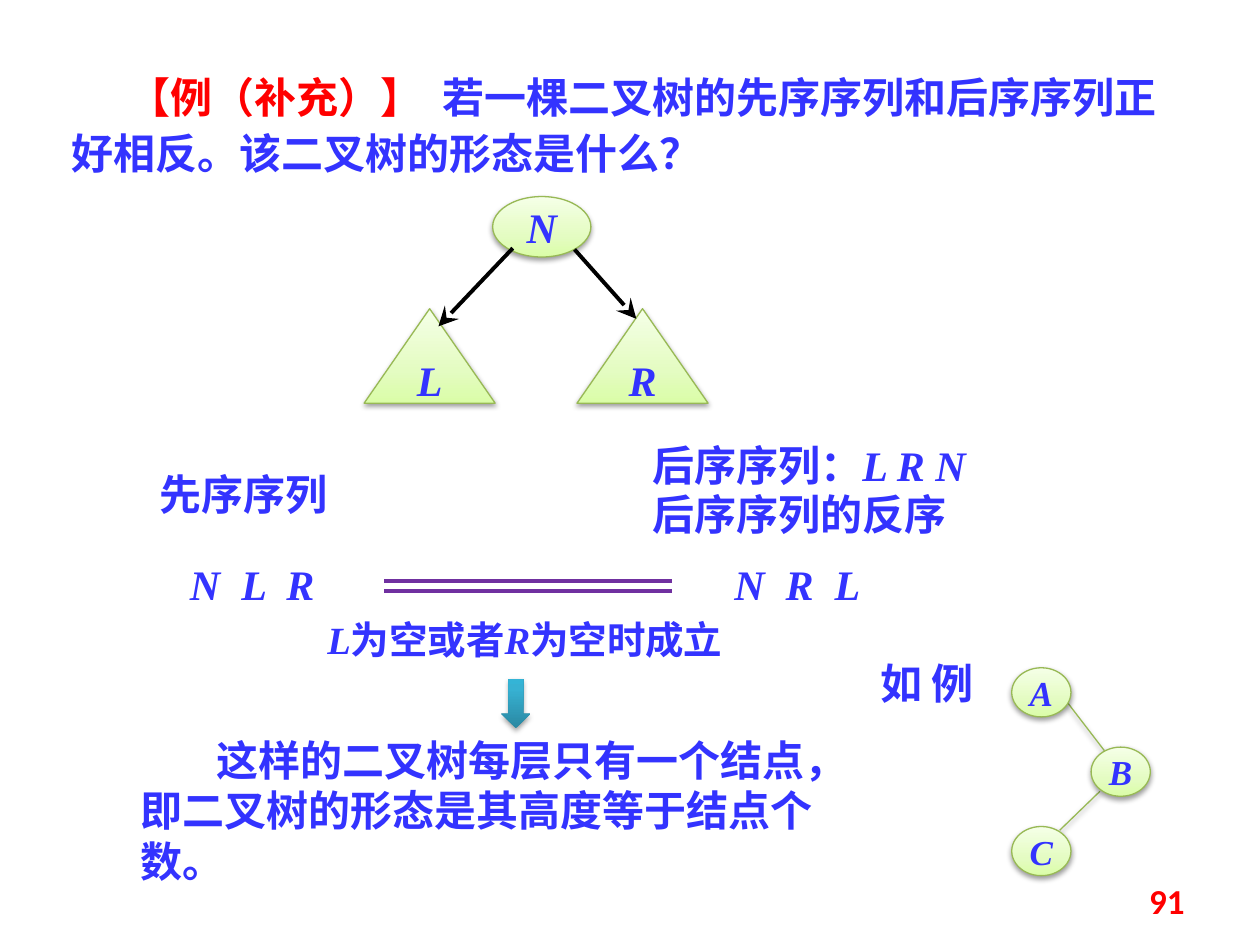
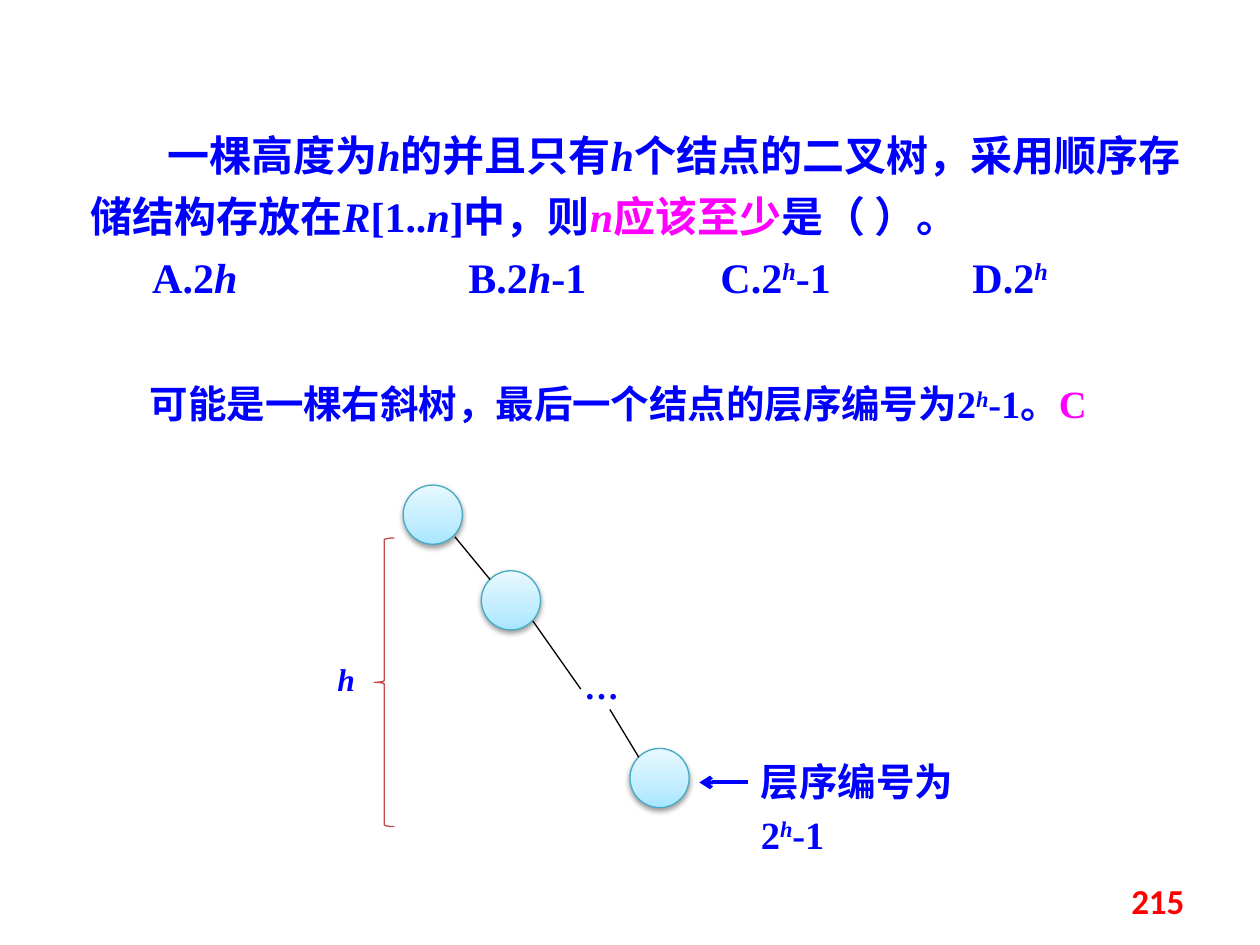
import copy

import pptx
import pptx.dml.color
import pptx.enum.shapes
import pptx.enum.text
import pptx.oxml.ns
import pptx.util
from lxml import etree

RGBColor = pptx.dml.color.RGBColor
Inches, Pt = pptx.util.Inches, pptx.util.Pt
MSO_SHAPE = pptx.enum.shapes.MSO_SHAPE
PP_ALIGN = pptx.enum.text.PP_ALIGN
MSO_ANCHOR = pptx.enum.text.MSO_ANCHOR
qn = pptx.oxml.ns.qn

RED = RGBColor(0xFF, 0x00, 0x00)
MAGENTA = RGBColor(0xFF, 0x00, 0xFF)
INDIGO = RGBColor(0x33, 0x33, 0xFF)
BLUE = RGBColor(0x00, 0x00, 0xFF)
BLACK = RGBColor(0x00, 0x00, 0x00)
PURPLE = RGBColor(0x70, 0x30, 0xA0)
BRICK = RGBColor(0xBF, 0x4C, 0x48)
LEAF = RGBColor(0x98, 0xB9, 0x55)
TEAL = RGBColor(0x46, 0xAA, 0xC5)
GREEN_BLEND = [(0, RGBColor(0xDA, 0xFD, 0xA7)), (0.35, RGBColor(0xE4, 0xFC, 0xC2)),
               (1, RGBColor(0xF5, 0xFF, 0xE7))]
SKY_BLEND = [(0, RGBColor(0xA7, 0xE6, 0xFF)), (0.35, RGBColor(0xC1, 0xED, 0xFF)),
             (1, RGBColor(0xE7, 0xF8, 0xFF))]
TEAL_BLEND = [(0, RGBColor(0x2A, 0x88, 0xA2)), (0.8, RGBColor(0x37, 0xB1, 0xD2)),
              (1, RGBColor(0x34, 0xB4, 0xD6))]
LATIN, CJK, NUMBER_FONT = "Times New Roman", "Noto Sans CJK SC", "Calibri"

# Run marks: i italic, ^ superscript, r red, m magenta, w widened by the spread.
# Boxes: place (left, top, width, height), paragraphs, format.
TRAVERSAL_TEXTS = [
    ((0.47, 0.47, 9.06, 1),
     [[("【例（补充）】", "r"), (" ", "w"),
       "若一棵二叉树的先序序列和后序序列正好相反。该二叉树的形态是什么？"]],
     dict(leading=32, indent=0.45, spread=6)),
    ((1.17, 3.67, 1.72, 0.5), [["先序序列"]], {}),
    ((5.08, 3.44, 3.2, 0.5), [["后序序列：", ("L R N", "i")]], {}),
    ((5.08, 3.83, 2.97, 0.5), [["后序序列的反序"]], {}),
    ((1.41, 4.38, 1.4, 0.5), [[("N L R", "iw")]], dict(spread=3)),
    ((5.73, 4.38, 1.4, 0.5), [[("N R L", "iw")]], dict(spread=3)),
    ((2.5, 4.84, 3.83, 0.47),
     [[("L", "i"), "为空或者", ("R", "i"), "为空时成立"]], dict(size=22)),
    ((1.02, 5.78, 5.7, 1.3),
     [["这样的二叉树每层只有一个结点，即二叉树的形态是其高度等于结点个数。"]], dict(indent=0.6)),
    ((6.79, 5.16, 1.01, 0.54), [["例如"]],
     dict(font=CJK, leading=29, vertical=True, align=PP_ALIGN.CENTER)),
]
ROOT = ("N", (3.91, 1.56))
SUBTREES = [("L", (2.89, 2.45)), ("R", (4.58, 2.45))]
SUBTREE_ARROWS = [((4.07, 1.97), (3.48, 2.59)), ((4.56, 1.98), (5.05, 2.53))]
EXAMPLE_EDGES = [((8.46, 5.56), (8.79, 5.99)), ((8.73, 6.28), (8.41, 6.59))]
EXAMPLE_NODES, EXAMPLE_LEFTS = "ABC", (8.03, 8.66, 8.03)
EXAMPLE_TOP, EXAMPLE_STEP = 5.3, 0.63
EQUALS_TOPS = (4.61, 4.69)

STORAGE_TEXTS = [
    ((0.62, 0.89, 8.91, 1.05),
     [["一棵高度为", ("h", "i"), "的并且只有", ("h", "i"),
       "个结点的二叉树，采用顺序存储结构存放在", ("R", "i"), "[1..", ("n", "i"), "]中，则",
       ("n", "im"), ("应该至少", "m"), "是（ ）。"]],
     dict(leading=35, indent=0.61)),
    ((1.09, 2.92, 8.05, 0.52),
     [["可能是一棵右斜树，最后一个结点的层序编号为2", ("h", "i^"), "-1。", ("C", "m")]],
     dict(size=22, leading=30)),
    ((4.54, 5.37, 0.55, 0.38), [["…"]], dict(size=20, leading=20, font=CJK)),
    ((5.94, 5.92, 2, 0.92), [["层序编号为2", ("h", "i^"), "-1"]], dict(size=22, leading=30)),
    ((2.58, 5.21, 0.55, 0.38), [[("h", "i")]], dict(size=18, leading=20)),
]
ANSWERS = [
    (1.11, ["A.2", ("h", "i")]),
    (3.62, ["B.2", ("h", "i"), "-1"]),
    (5.62, ["C.2", ("h", "i^"), "-1"]),
    (7.62, ["D.2", ("h", "i^")]),
]
CHAIN_NODES = [(3.2, 3.85), (3.82, 4.53), (5, 5.94)]
CHAIN_EDGES = [((3.61, 4.26), (3.89, 4.6)), ((4.23, 4.93), (4.61, 5.47)),
               ((4.84, 5.63), (5.07, 6.01))]


def write(frame, paragraphs, size=24, color=INDIGO, font=LATIN, leading=None, indent=0,
          spread=0, align=None, anchor=MSO_ANCHOR.TOP, wrap=True, vertical=False):
    """Fill a text frame; a run is a string or a (string, marks) pair."""
    frame.word_wrap = wrap
    frame.vertical_anchor = anchor
    if vertical:
        frame._txBody.bodyPr.set("vert", "eaVert")
    for number, runs in enumerate(paragraphs):
        paragraph = frame.add_paragraph() if number else frame.paragraphs[0]
        if align is not None:
            paragraph.alignment = align
        if leading:
            paragraph.line_spacing = Pt(leading)
        properties = paragraph._p.get_or_add_pPr()
        properties.set("marL", "0")
        properties.set("indent", str(Inches(indent)))
        for item in runs:
            words, marks = (item, "") if isinstance(item, str) else item
            run = paragraph.add_run()
            run.text = words
            run.font.size = Pt(size)
            run.font.name = font
            run.font.bold = True
            run.font.italic = "i" in marks
            run.font.color.rgb = RED if "r" in marks else MAGENTA if "m" in marks else color
            run_properties = run._r.get_or_add_rPr()
            if "^" in marks:
                run_properties.set("baseline", "30000")
            if "w" in marks:
                run_properties.set("spc", str(spread * 100))
            etree.SubElement(run_properties, qn("a:ea"), typeface=CJK)


def add_text(slide, place, paragraphs, **text_format):
    box = slide.shapes.add_textbox(*map(Inches, place))
    write(box.text_frame, paragraphs, **text_format)


def cast_shadow(effects):
    shadow = etree.SubElement(effects, qn("a:outerShdw"), blurRad=str(Pt(3.1)),
                              dist=str(Pt(1.6)), dir="5400000", rotWithShape="0")
    tint = etree.SubElement(shadow, qn("a:srgbClr"), val="000000")
    etree.SubElement(tint, qn("a:alpha"), val="38000")


def add_figure(slide, preset, place, blend=None, outline=None, label=None, **text_format):
    """Add a preset shape; a blended one also casts a shadow."""
    figure = slide.shapes.add_shape(preset, *map(Inches, place))
    figure.shadow.inherit = False
    if blend:
        figure.fill.gradient()
        figure.fill.gradient_angle = 90
        stops = figure._element.spPr.find(".//" + qn("a:gsLst"))
        stops.append(copy.deepcopy(stops[0]))
        for stop, (position, color) in zip(figure.fill.gradient_stops, blend):
            stop.color.rgb = color
            stop.position = position
        cast_shadow(figure._element.spPr.find(qn("a:effectLst")))
    else:
        figure.fill.background()
    if outline is None:
        figure.line.fill.background()
    else:
        figure.line.color.rgb = outline
        figure.line.width = Pt(0.75)
    if label:
        write(figure.text_frame, [[(label, "i")]], align=PP_ALIGN.CENTER,
              anchor=MSO_ANCHOR.MIDDLE, wrap=False, **text_format)


def add_line(slide, start, end, color=BLACK, width=0.75, arrowhead=None,
             head_size="med", shadow=False):
    line = slide.shapes.add_connector(pptx.enum.shapes.MSO_CONNECTOR.STRAIGHT,
                                      *map(Inches, start + end))
    line.line.color.rgb = color
    line.line.width = Pt(width)
    if arrowhead:
        etree.SubElement(line.line._get_or_add_ln(), qn("a:tailEnd"), type=arrowhead,
                         w=head_size, len=head_size)
    effects = etree.SubElement(line._element.spPr, qn("a:effectLst"))
    if shadow:
        cast_shadow(effects)


def start_slide(deck, page_number):
    slide = deck.slides.add_slide(deck.slide_layouts[6])
    add_text(slide, (7.17, 6.95, 2.33, 0.4), [[page_number]], size=20, color=RED,
             font=NUMBER_FONT, align=PP_ALIGN.RIGHT, anchor=MSO_ANCHOR.MIDDLE)
    return slide


def build_traversal_slide(deck):
    slide = start_slide(deck, "91")
    for place, paragraphs, text_format in TRAVERSAL_TEXTS:
        add_text(slide, place, paragraphs, **text_format)

    name, corner = ROOT
    add_figure(slide, MSO_SHAPE.OVAL, corner + (0.78, 0.48), GREEN_BLEND, LEAF, name)
    for name, corner in SUBTREES:
        add_figure(slide, MSO_SHAPE.ISOSCELES_TRIANGLE, corner + (1.04, 0.75),
                   GREEN_BLEND, LEAF, name)
    for start, end in SUBTREE_ARROWS:
        add_line(slide, start, end, width=2.25, arrowhead="stealth", head_size="lg")

    for top in EQUALS_TOPS:
        add_line(slide, (3.05, top), (5.33, top), PURPLE, 2.25)
    add_figure(slide, MSO_SHAPE.DOWN_ARROW, (3.98, 5.39, 0.23, 0.39), TEAL_BLEND)

    for start, end in EXAMPLE_EDGES:
        add_line(slide, start, end, LEAF, shadow=True)
    for level, (name, left) in enumerate(zip(EXAMPLE_NODES, EXAMPLE_LEFTS)):
        add_figure(slide, MSO_SHAPE.OVAL,
                   (left, EXAMPLE_TOP + level * EXAMPLE_STEP, 0.47, 0.39),
                   GREEN_BLEND, LEAF, name, size=20)


def build_storage_slide(deck):
    slide = start_slide(deck, "215")
    for place, paragraphs, text_format in STORAGE_TEXTS:
        add_text(slide, place, paragraphs, color=BLUE, **text_format)
    for left, answer in ANSWERS:
        add_text(slide, (left, 1.86, 1.6, 0.59), [answer], color=BLUE, leading=35)
    for corner in CHAIN_NODES:
        add_figure(slide, MSO_SHAPE.OVAL, corner + (0.47, 0.47), SKY_BLEND, TEAL)
    for start, end in CHAIN_EDGES:
        add_line(slide, start, end)
    add_line(slide, (5.94, 6.21), (5.55, 6.21), BLUE, 2.25, "arrow")
    add_figure(slide, MSO_SHAPE.LEFT_BRACE, (2.97, 4.27, 0.16, 2.29), outline=BRICK)


def main():
    deck = pptx.Presentation()
    deck.slide_width, deck.slide_height = Inches(10), Inches(7.5)
    build_traversal_slide(deck)
    build_storage_slide(deck)
    deck.save("out.pptx")


if __name__ == "__main__":
    main()
